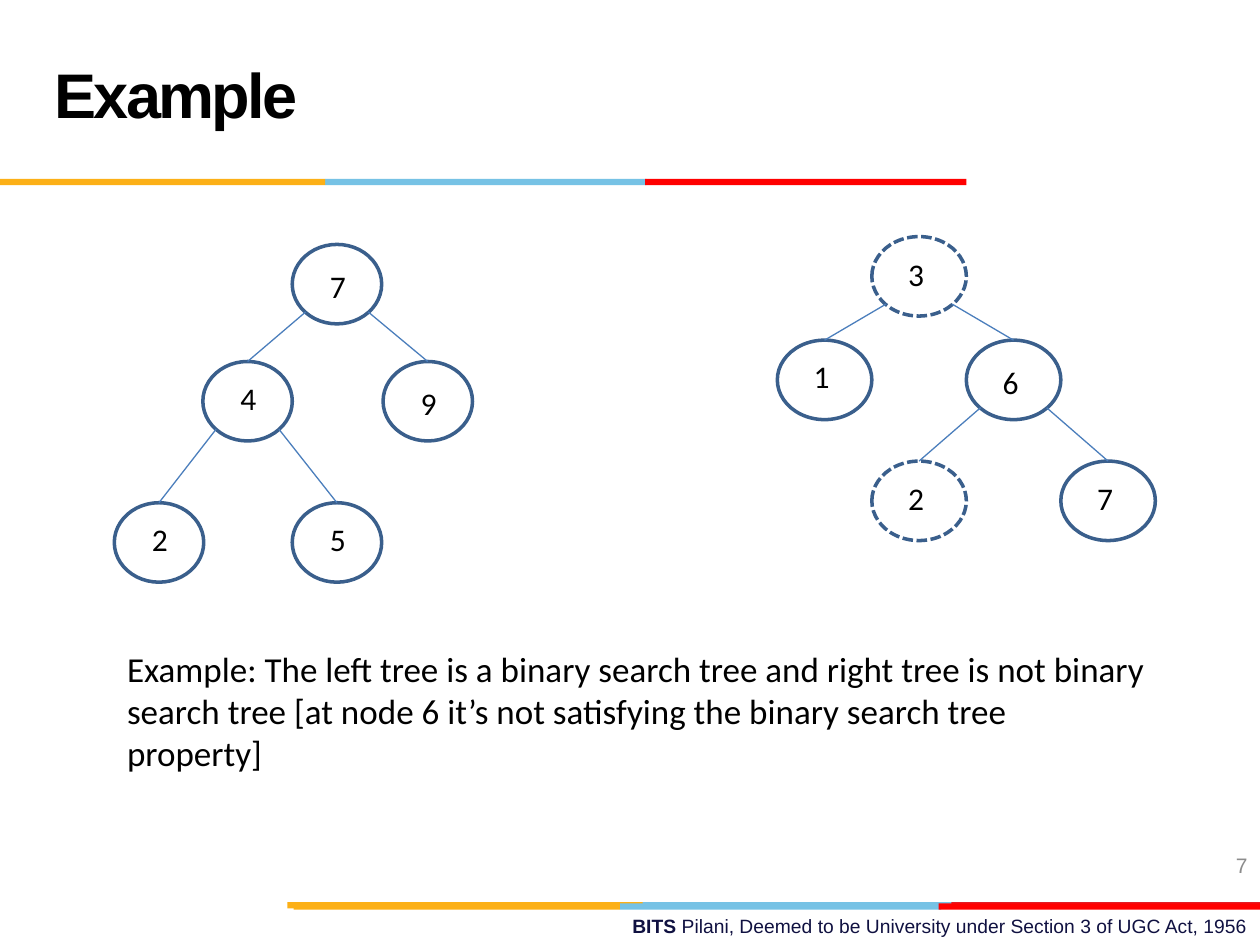
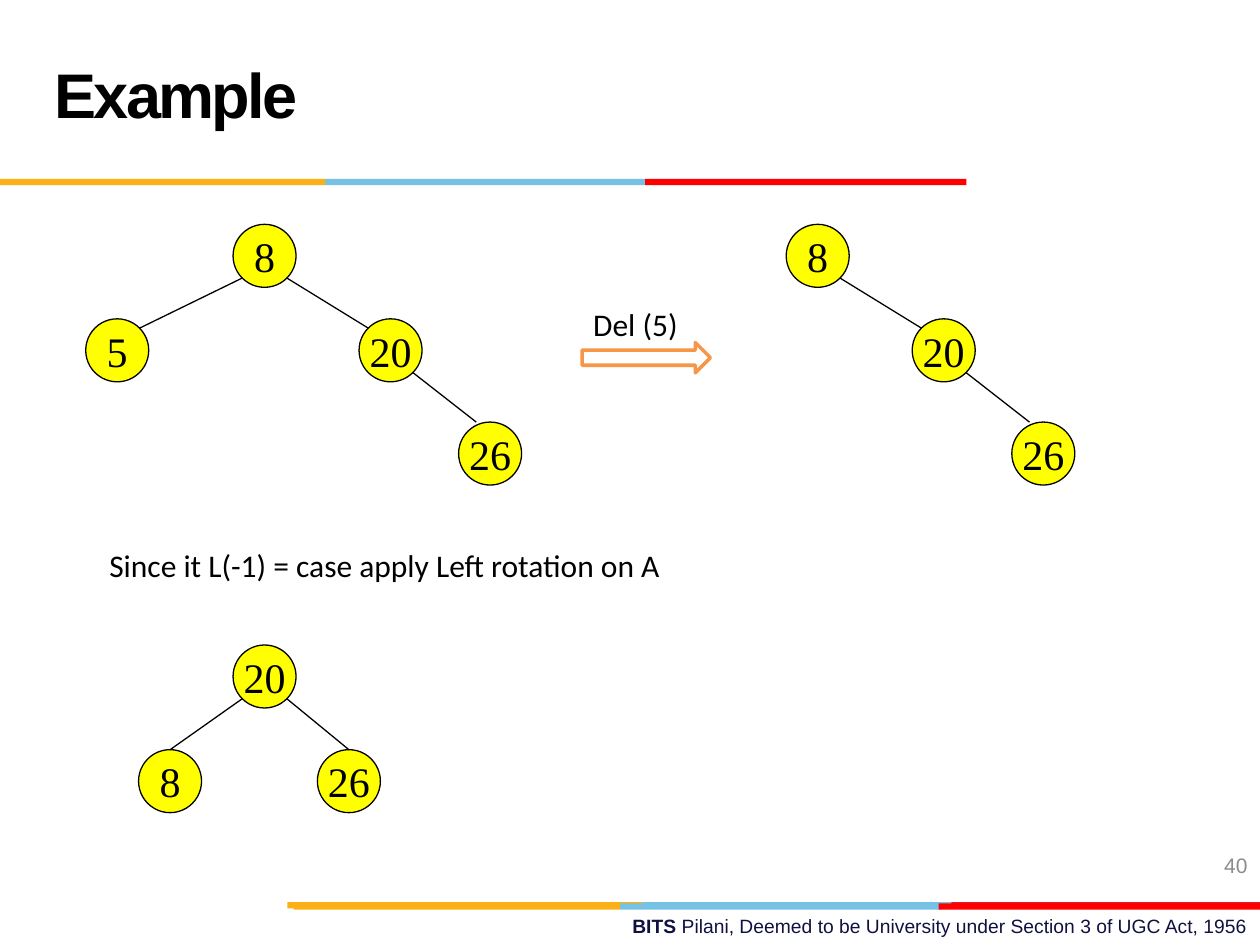
from dataclasses import dataclass
from typing import Any, NamedTuple, Optional

from lxml.etree import SubElement
from pptx import Presentation
from pptx.dml.color import RGBColor
from pptx.enum.dml import MSO_LINE
from pptx.enum.shapes import MSO_CONNECTOR, MSO_SHAPE
from pptx.enum.text import MSO_ANCHOR, MSO_AUTO_SIZE, PP_ALIGN
from pptx.oxml.ns import qn
from pptx.util import Pt

BLACK, WHITE = "000000", "FFFFFF"
ORANGE, SKY, RED, DARK_RED = "FCB017", "76C2E5", "FF0000", "E31C24"
NAVY, GREY = "101141", "8C8C8C"
BAND_HEIGHT = 3.6
NEAR, FAR = 0.15, 0.85
TOP = (0.5, 0)


class Band(NamedTuple):
    left: float
    top: float
    width: float
    color: str


class Node(NamedTuple):
    text: str
    left: float
    top: float
    parent: Optional[int] = None
    entry: tuple[float, float] = TOP
    label_drop: float = 6.5
    dashed: bool = False


@dataclass(frozen=True)
class TreeStyle:
    width: float
    height: float
    line: str
    line_width: float
    edge: str
    fill: Optional[str] = None
    label_width: float = 0


BANDS = [
    Band(364.3, 515.5, 183.6, SKY),
    Band(543.6, 515.5, 176.4, DARK_RED),
    Band(164.2, 515.5, 203, ORANGE),
    Band(354.2, 516.2, 183.6, SKY),
    Band(167.8, 516.2, 186.4, ORANGE),
    Band(536.4, 516.2, 183.6, RED),
    Band(185.8, 102.2, 183.6, SKY),
    Band(0, 102.2, 185.8, ORANGE),
    Band(368.6, 102.2, 183.6, RED),
]

LEFT_STYLE = TreeStyle(51.1, 45.4, "3A5F8C", 2, "4B7EBC", label_width=22.3)
RIGHT_STYLE = TreeStyle(54, 45.4, "3A5F8C", 2, "4B7EBC", label_width=26.6)
YELLOW_STYLE = TreeStyle(36, 36, BLACK, 0.75, BLACK, fill="FFFF00")

SEARCH_TREE = [
    Node("7", 167, 139.7, label_drop=9.4),
    Node("4", 115.9, 206.6, 0),
    Node("9", 218.9, 206.6, 0, label_drop=9.4),
    Node("2", 65.3, 287.3, 1),
    Node("5", 167, 287.3, 1),
]
BROKEN_TREE = [
    Node("3", 498.2, 135.2, label_drop=7.2, dashed=True),
    Node("1", 444.2, 194.4, 0, label_drop=5.8),
    Node("6", 552.2, 194.4, 0, label_drop=9.4),
    Node("2", 498.2, 263.5, 2, dashed=True),
    Node("7", 606.2, 263.5, 2),
]
AFTER_SHIFT = 316.1
RIGHT_CHAIN = [
    Node("8", 133.2, 128.2),
    Node("20", 205.2, 182.2, 0, (NEAR, NEAR)),
    Node("26", 262.1, 241.2, 1, (0.28, 0)),
]
BEFORE_DELETE = RIGHT_CHAIN + [Node("5", 49, 182.2, 0, (FAR, NEAR))]
AFTER_DELETE = [n._replace(left=n.left + AFTER_SHIFT) for n in RIGHT_CHAIN]
ROTATED = [
    Node("20", 133.2, 368.6),
    Node("8", 79.2, 428.4, 0),
    Node("26", 181.4, 428.4, 0),
]


def rgb(color: str) -> RGBColor:
    return RGBColor.from_string(color)


def set_all(obj: Any, values: dict[str, Any]) -> None:
    for name, value in values.items():
        setattr(obj, name, value)


def add_run(p: Any, text: str, font: str, size: float,
            color: str = BLACK, bold: bool = False) -> Any:
    r = p.add_run()
    r.text = text
    set_all(r.font, {"name": font, "size": Pt(size), "bold": bold})
    r.font.color.rgb = rgb(color)
    return r


def add_box(slide: Any, left: float, top: float, width: float, height: float,
            anchor: MSO_ANCHOR = MSO_ANCHOR.TOP,
            align: PP_ALIGN = PP_ALIGN.LEFT) -> Any:
    sp = slide.shapes.add_textbox(Pt(left), Pt(top), Pt(width), Pt(height))
    set_all(sp.text_frame, {"word_wrap": True, "vertical_anchor": anchor})
    p = sp.text_frame.paragraphs[0]
    p.alignment = align
    return p


def add_shape(slide: Any, kind: MSO_SHAPE, left: float, top: float,
              width: float, height: float, fill: Optional[str] = None,
              line: Optional[str] = None, line_width: float = 0) -> Any:
    sp = slide.shapes.add_shape(kind, Pt(left), Pt(top), Pt(width), Pt(height))
    sp.shadow.inherit = False
    if fill:
        sp.fill.solid()
        sp.fill.fore_color.rgb = rgb(fill)
    else:
        sp.fill.background()
    if line:
        sp.line.color.rgb = rgb(line)
        sp.line.width = Pt(line_width)
    else:
        sp.line.fill.background()
    return sp


def add_node(slide: Any, node: Node, style: TreeStyle) -> Any:
    sp = add_shape(slide, MSO_SHAPE.OVAL, node.left, node.top, style.width,
                   style.height, style.fill, style.line, style.line_width)
    if node.dashed:
        sp.line.dash_style = MSO_LINE.SQUARE_DOT
    if style.label_width:
        left = node.left + (style.width - style.label_width) / 2
        p = add_box(slide, left, node.top + node.label_drop,
                    style.label_width, 28.8)
        add_run(p, node.text, "Calibri", 18)
    else:
        tf = sp.text_frame
        set_all(tf, {"word_wrap": False, "vertical_anchor": MSO_ANCHOR.MIDDLE})
        p = tf.paragraphs[0]
        p.alignment = PP_ALIGN.CENTER
        add_run(p, node.text, "Times New Roman", 24)
    return sp


def add_edge(slide: Any, parent: Node, child: Node, child_shape: Any,
             style: TreeStyle) -> None:
    side = NEAR if child.left < parent.left else FAR
    fx, fy = child.entry
    line = slide.shapes.add_connector(
        MSO_CONNECTOR.STRAIGHT,
        Pt(parent.left + side * style.width),
        Pt(parent.top + FAR * style.height),
        Pt(child.left + fx * style.width),
        Pt(child.top + fy * style.height))
    if child.entry == TOP:
        line.end_connect(child_shape, 0)
    line.line.color.rgb = rgb(style.edge)
    line.line.width = Pt(0.75)
    SubElement(line._element.spPr, qn("a:effectLst"))


def add_tree(slide: Any, nodes: list[Node], style: TreeStyle) -> None:
    shapes = [add_node(slide, node, style) for node in nodes]
    for node, sp in zip(nodes, shapes):
        if node.parent is not None:
            add_edge(slide, nodes[node.parent], node, sp, style)


def add_slide(prs: Any, title: str, number: str) -> Any:
    slide = prs.slides.add_slide(prs.slide_layouts[5])
    p = add_box(slide, 257.8, 519.1, 462.2, 20.9, align=PP_ALIGN.RIGHT)
    add_run(p, "BITS ", "Arial", 11, NAVY, True)
    add_run(p, "Pilani, Deemed to be University under Section 3 of UGC Act, 1956",
            "Arial", 11, NAVY)
    for band in BANDS:
        add_shape(slide, MSO_SHAPE.RECTANGLE, band.left, band.top,
                  band.width, BAND_HEIGHT, band.color)
    sp = slide.shapes.title
    set_all(sp, {"left": Pt(23.8), "top": Pt(12.2),
                 "width": Pt(498.2), "height": Pt(90)})
    tf = sp.text_frame
    set_all(tf, {"word_wrap": True, "auto_size": MSO_AUTO_SIZE.NONE,
                 "vertical_anchor": MSO_ANCHOR.MIDDLE})
    p = tf.paragraphs[0]
    set_all(p, {"alignment": PP_ALIGN.LEFT, "line_spacing": Pt(36)})
    r = add_run(p, title, "Arial", 36, bold=True)
    r.font._element.set("spc", "-150")
    p = add_box(slide, 552.2, 480.2, 167.8, 28.8,
                MSO_ANCHOR.MIDDLE, PP_ALIGN.RIGHT)
    add_run(p, number, "Arial", 12, GREY)
    return slide


def build_search_tree_slide(prs: Any) -> None:
    slide = add_slide(prs, "Example", "7")
    add_tree(slide, SEARCH_TREE, LEFT_STYLE)
    add_tree(slide, BROKEN_TREE, RIGHT_STYLE)
    p = add_box(slide, 65.5, 366.5, 596.9, 79.9)
    add_run(p, "Example: The left tree is a binary search tree and right tree "
            "is not binary search tree [at node 6 it’s not satisfying the "
            "binary search tree property]", "Calibri", 20)


def build_rotation_slide(prs: Any) -> None:
    slide = add_slide(prs, "Example", "40")
    for nodes in (BEFORE_DELETE, AFTER_DELETE, ROTATED):
        add_tree(slide, nodes, YELLOW_STYLE)
    add_shape(slide, MSO_SHAPE.RIGHT_ARROW, 332.6, 195.8, 73.4, 17.3,
              WHITE, "F79646", 2)
    p = add_box(slide, 331.9, 170.6, 73.4, 28.8)
    add_run(p, "Del (5)", "Calibri", 18)
    p = add_box(slide, 55.4, 308.2, 561.6, 28.8)
    add_run(p, "Since it L(-1) = case apply Left rotation on A", "Calibri", 18)


def main() -> None:
    prs = Presentation()
    set_all(prs, {"slide_width": Pt(720), "slide_height": Pt(540)})
    build_search_tree_slide(prs)
    build_rotation_slide(prs)
    prs.save("out.pptx")


if __name__ == "__main__":
    main()
